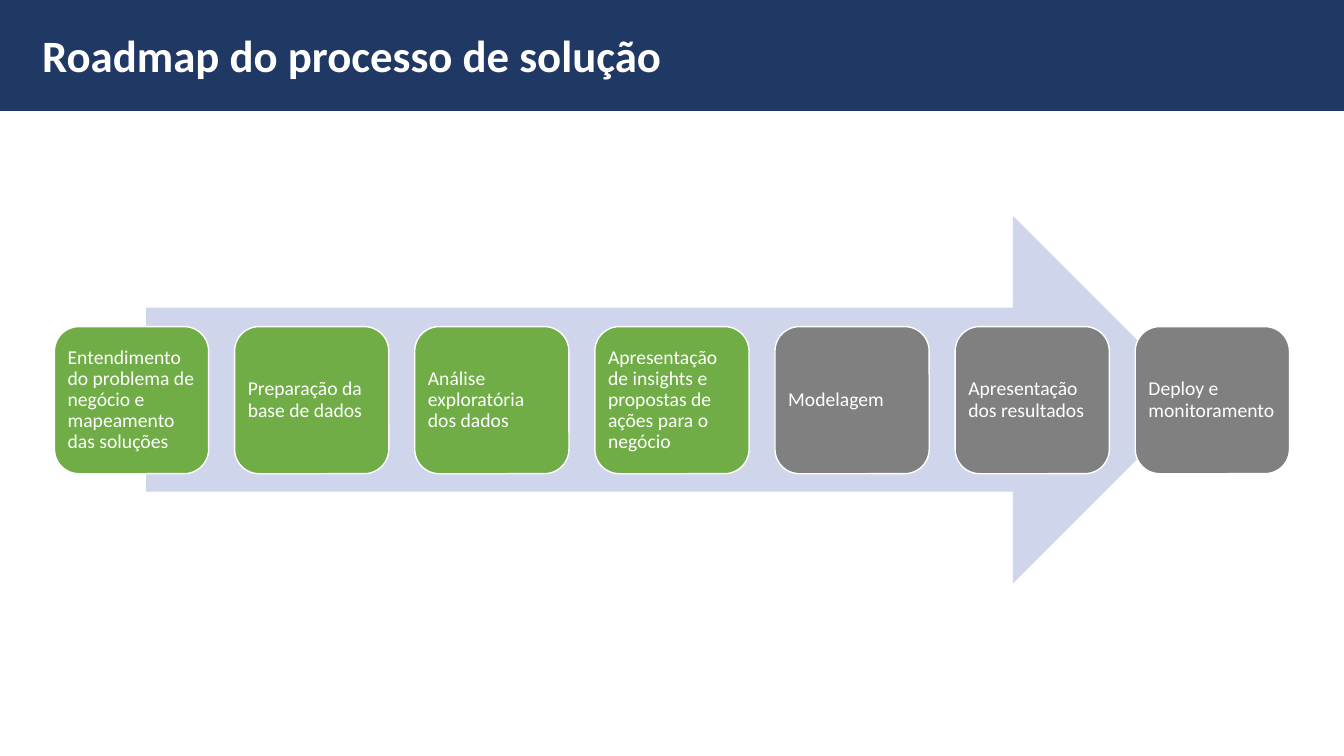
"""Builds the solution process roadmap slide."""
from dataclasses import dataclass

from pptx import Presentation
from pptx.dml.color import RGBColor
from pptx.enum.shapes import MSO_SHAPE
from pptx.enum.text import MSO_ANCHOR, MSO_AUTO_SIZE, PP_ALIGN
from pptx.util import Inches, Pt

RECT = MSO_SHAPE.RECTANGLE
ROUNDED = MSO_SHAPE.ROUNDED_RECTANGLE
ARROW = MSO_SHAPE.RIGHT_ARROW
MIDDLE = MSO_ANCHOR.MIDDLE
LEFT = PP_ALIGN.LEFT
GROW = MSO_AUTO_SIZE.SHAPE_TO_FIT_TEXT

NAVY, WHITE, PALE = "203864", "FFFFFF", "CFD5EA"
DONE, PENDING = "70AD47", "808080"
FIRST_LEFT, LAST_LEFT, STEP_TOP = 0.54, 11.26, 3.24
STEP_WIDTH, STEP_HEIGHT = 1.53, 1.46


@dataclass
class Step:
    label: str
    fill: str


STEPS = [
    Step("Entendimento do problema de negócio e mapeamento das soluções", DONE),
    Step("Preparação da base de dados", DONE),
    Step("Análise exploratória dos dados", DONE),
    Step("Apresentação de insights e propostas de ações para o negócio", DONE),
    Step("Modelagem", PENDING),
    Step("Apresentação dos resultados", PENDING),
    Step("Deploy e monitoramento", PENDING),
]


def color(value: str) -> RGBColor:
    return RGBColor.from_string(value)


def add_block(s, kind, left: float, top: float, width: float, height: float,
              fill: str, line: str | None = None):
    sp = s.shapes.add_shape(kind, Inches(left), Inches(top), Inches(width), Inches(height))
    sp.shadow.inherit = False
    sp.fill.solid()
    sp.fill.fore_color.rgb = color(fill)
    if line:
        sp.line.color.rgb = color(line)
        sp.line.width = Pt(1)
    else:
        sp.line.fill.background()
    return sp


def write(tf, text: str, *, size: float, bold: bool = False,
          spacing: float = 1.0) -> None:
    p = tf.paragraphs[0]
    p.alignment = LEFT
    p.line_spacing = spacing
    r = p.add_run()
    r.text = text
    r.font.name = "Calibri"
    r.font.size = Pt(size)
    r.font.bold = bold
    r.font.color.rgb = color(WHITE)


def add_title(s, text: str) -> None:
    sp = s.shapes.add_textbox(Inches(0.32), Inches(0.23), Inches(6.4), Inches(0.64))
    tf = sp.text_frame
    tf.word_wrap = False
    tf.auto_size = GROW
    write(tf, text, size=32, bold=True)


def add_step(s, step: Step, left: float) -> None:
    sp = add_block(s, ROUNDED, left, STEP_TOP, STEP_WIDTH, STEP_HEIGHT, step.fill, WHITE)
    tf = sp.text_frame
    tf.word_wrap = True
    tf.vertical_anchor = MIDDLE
    tf.margin_left = tf.margin_right = tf.margin_top = tf.margin_bottom = Inches(0.06)
    write(tf, step.label, size=14, spacing=0.9)


def main() -> None:
    prs = Presentation()
    prs.slide_width, prs.slide_height = Inches(13.33), Inches(7.5)
    s = prs.slides.add_slide(prs.slide_layouts[6])
    add_block(s, RECT, 0, 0, 13.33, 1.1, NAVY)
    add_title(s, "Roadmap do processo de solução")
    add_block(s, ARROW, 1.45, 2.14, 10.42, 3.65, PALE)
    pitch = (LAST_LEFT - FIRST_LEFT) / (len(STEPS) - 1)
    for i, step in enumerate(STEPS):
        add_step(s, step, FIRST_LEFT + i * pitch)
    prs.save("out.pptx")


if __name__ == "__main__":
    main()
